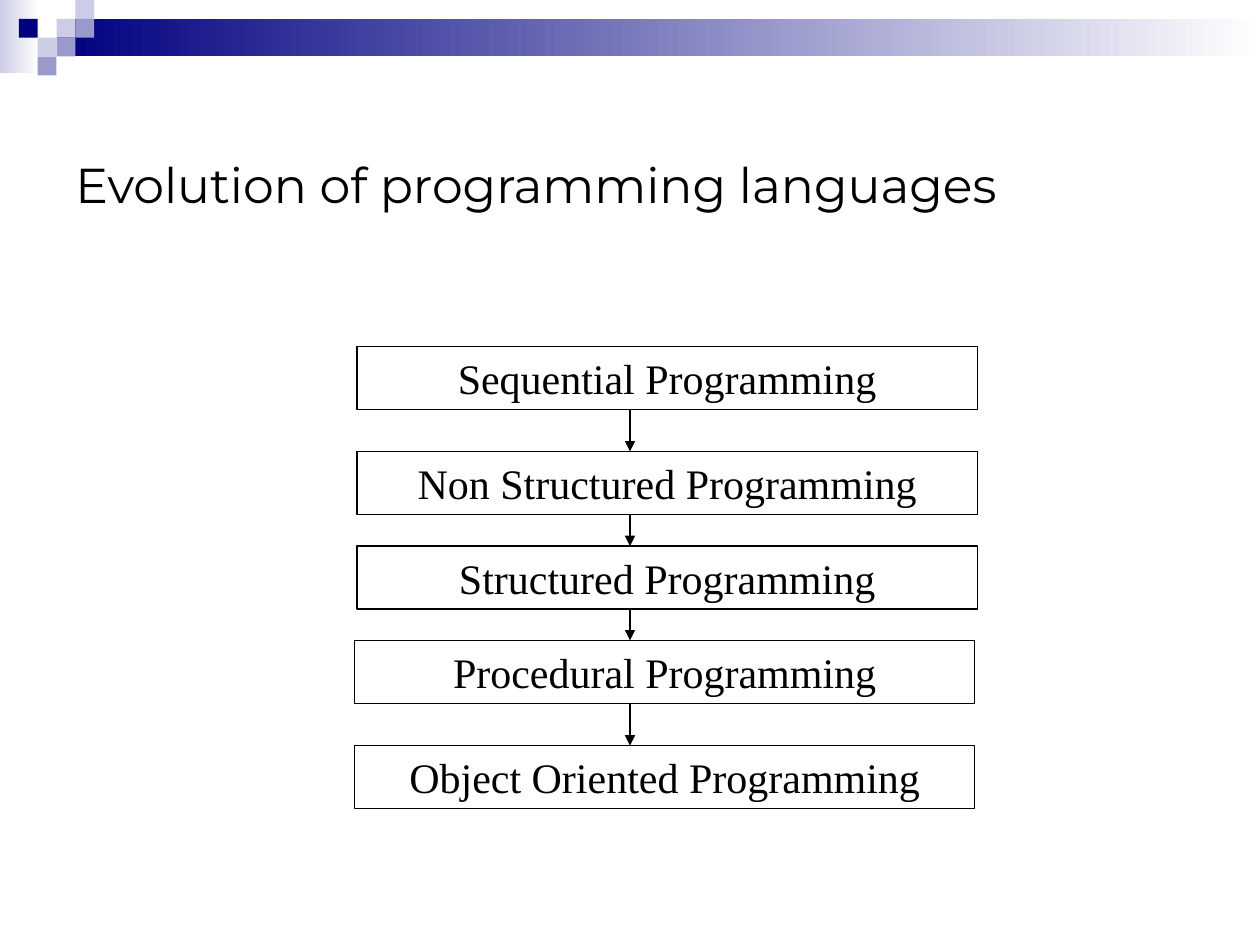
from itertools import pairwise

from lxml import etree
from pptx import Presentation
from pptx import util as u
from pptx.dml.color import RGBColor
from pptx.enum import shapes, text
from pptx.oxml.ns import qn


def color(hex_code):
    return RGBColor.from_string(hex_code)


class SlideBuilder:
    ink = "000000"
    line_width = u.Pt(0.75)
    title_font, title_size = "Montserrat", u.Pt(28)
    step_font, step_size = "Times New Roman", u.Pt(24)

    def __init__(self, slide):
        self.slide = slide

    def rectangle(self, left, top, width, height):
        box = self.slide.shapes.add_shape(
            shapes.MSO_SHAPE.RECTANGLE,
            u.Cm(left), u.Cm(top), u.Cm(width), u.Cm(height))
        box.shadow.inherit = False
        box.line.fill.background()
        return box

    def square(self, left, top, side, fill):
        tile = self.rectangle(left, top, side, side)
        tile.fill.solid()
        tile.fill.fore_color.rgb = color(fill)

    def gradient_bar(self, left, top, width, height, start, end):
        bar = self.rectangle(left, top, width, height)
        bar.fill.gradient()
        bar.fill.gradient_angle = 0
        for stop, shade in zip(bar.fill.gradient_stops, (start, end)):
            stop.color.rgb = color(shade)

    def add_wording(self, frame, wording, font, size, align, anchor):
        frame.word_wrap = True
        frame.vertical_anchor = anchor
        paragraph = frame.paragraphs[0]
        paragraph.alignment = align
        run = paragraph.add_run()
        run.text = wording
        run.font.name = font
        run.font.size = size
        run.font.color.rgb = color(self.ink)

    def title(self, wording, left, top, width, height):
        heading = self.slide.shapes.add_textbox(
            u.Cm(left), u.Cm(top), u.Cm(width), u.Cm(height))
        self.add_wording(heading.text_frame, wording, self.title_font, self.title_size,
                         text.PP_ALIGN.LEFT, text.MSO_ANCHOR.MIDDLE)

    def step(self, wording, left, top, width, height):
        box = self.rectangle(left, top, width, height)
        box.fill.background()
        box.line.color.rgb = color(self.ink)
        box.line.width = self.line_width
        self.add_wording(box.text_frame, wording, self.step_font, self.step_size,
                         text.PP_ALIGN.CENTER, text.MSO_ANCHOR.TOP)

    def down_arrow(self, x, start, end):
        arrow = self.slide.shapes.add_connector(
            shapes.MSO_CONNECTOR.STRAIGHT,
            u.Cm(x), u.Cm(start), u.Cm(x), u.Cm(end))
        arrow.line.color.rgb = color(self.ink)
        arrow.line.width = self.line_width
        properties = arrow.element.spPr
        etree.SubElement(properties.find(qn("a:ln")), qn("a:tailEnd"), type="triangle")
        etree.SubElement(properties, qn("a:effectLst"))


def main():
    deck = Presentation()
    deck.slide_width, deck.slide_height = u.Cm(25.4), u.Cm(19.05)
    builder = SlideBuilder(deck.slides.add_slide(deck.slide_layouts[6]))

    # Header band: two gradients and a mosaic of squares
    navy, violet, lavender, white = "000080", "9999CC", "CCCCE6", "FFFFFF"
    unit = 0.38
    builder.gradient_bar(0, 0, 0.79, 1.47, lavender, white)
    builder.gradient_bar(3 * unit, unit, 25.4 - 3 * unit, 2 * unit, navy, white)
    mosaic = [(3, 1, lavender), (4, 0, lavender), (4, 1, violet), (2, 2, lavender),
              (1, 1, navy), (3, 2, violet), (2, 3, violet)]
    for column, row, fill in mosaic:
        builder.square(column * unit, row * unit, unit, fill)

    # Title
    builder.title("Evolution of programming languages", 1.27, 2.12, 22.86, 3.18)

    # Programming styles, earliest first: wording, left, top
    step_width, step_height = 12.5, 1.27
    steps = [("Sequential Programming", 7.2, 6.99),
             ("Non Structured Programming", 7.2, 9.1),
             ("Structured Programming", 7.2, 11.01),
             ("Procedural Programming", 7.15, 12.91),
             ("Object Oriented Programming", 7.15, 15.03)]
    for wording, left, top in steps:
        builder.step(wording, left, top, step_width, step_height)

    # Arrows down the middle of the slide, left of the box centres
    for (_, _, upper), (_, _, lower) in pairwise(steps):
        builder.down_arrow(12.7, upper + step_height, lower)

    deck.save("out.pptx")


if __name__ == "__main__":
    main()
